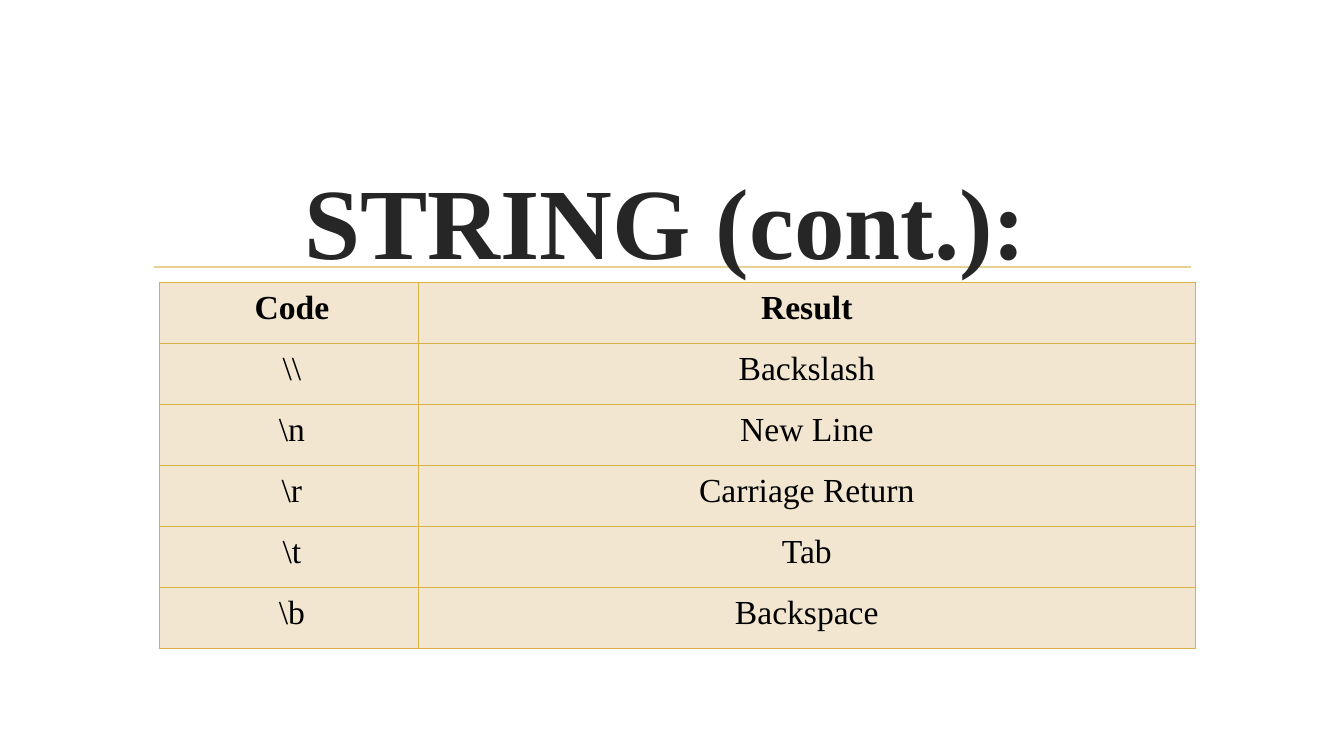
"""Build the slide that lists string escape codes in a table."""
from dataclasses import dataclass

from lxml.etree import SubElement
from pptx import Presentation
from pptx.dml.color import RGBColor
from pptx.enum.shapes import MSO_CONNECTOR
from pptx.enum.text import MSO_ANCHOR, PP_ALIGN
from pptx.oxml.ns import qn
from pptx.slide import Slide
from pptx.table import _Cell
from pptx.text.text import _Paragraph
from pptx.util import Pt

FONT = "Times New Roman"
BLACK = RGBColor(0x00, 0x00, 0x00)
CHARCOAL = RGBColor(0x26, 0x26, 0x26)
GOLD = RGBColor(0xD9, 0xB2, 0x47)
PALE_GOLD = RGBColor(0xE8, 0xD1, 0x91)
CREAM = RGBColor(0xF2, 0xE6, 0xD0)

COLUMN_WIDTHS = (185, 555)
LEFT_MARGINS = (9.4, 5)
ROW_HEIGHT = 43.6


@dataclass(frozen=True)
class Escape:
    code: str
    result: str
    bold: bool = False


ESCAPES = (
    Escape("Code", "Result", bold=True),
    Escape(r"\\", "Backslash"),
    Escape(r"\n", "New Line"),
    Escape(r"\r", "Carriage Return"),
    Escape(r"\t", "Tab"),
    Escape(r"\b", "Backspace"),
)


def write_centred(para: _Paragraph, text: str, size: float, color: RGBColor, bold: bool) -> None:
    para.text = text
    para.alignment = PP_ALIGN.CENTER
    for span in para.runs:
        span.font.name = FONT
        span.font.size = Pt(size)
        span.font.bold = bold
        span.font.color.rgb = color


def add_rule(page: Slide) -> None:
    rule = page.shapes.add_connector(
        MSO_CONNECTOR.STRAIGHT, Pt(110.2), Pt(190.8), Pt(850.4), Pt(190.8)
    )
    rule.line.color.rgb = PALE_GOLD
    rule.line.width = Pt(1.25)
    SubElement(rule.element.spPr, qn("a:effectLst"))


def add_title(page: Slide) -> None:
    box = page.shapes.add_textbox(Pt(65.5), Pt(100), Pt(820), Pt(102.2))
    frame = box.text_frame
    frame.word_wrap = True
    frame.vertical_anchor = MSO_ANCHOR.MIDDLE
    frame.margin_top = Pt(14)
    write_centred(frame.paragraphs[0], "STRING (cont.):", 72, CHARCOAL, True)


def add_borders(cell: _Cell) -> None:
    properties = cell._tc.get_or_add_tcPr()
    for position, side in enumerate(("a:lnL", "a:lnR", "a:lnT", "a:lnB")):
        border = properties.makeelement(qn(side), {"w": str(Pt(0.75))})
        fill = SubElement(border, qn("a:solidFill"))
        SubElement(fill, qn("a:srgbClr"), {"val": str(GOLD)})
        properties.insert(position, border)


def fill_cell(cell: _Cell, text: str, left_margin: float, bold: bool) -> None:
    cell.fill.solid()
    cell.fill.fore_color.rgb = CREAM
    cell.margin_left = Pt(left_margin)
    cell.margin_right = cell.margin_top = cell.margin_bottom = Pt(5)
    write_centred(cell.text_frame.paragraphs[0], text, 24, BLACK, bold)
    add_borders(cell)


def add_escape_table(page: Slide) -> None:
    table = page.shapes.add_table(
        len(ESCAPES), len(COLUMN_WIDTHS), Pt(113.8), Pt(201.6),
        Pt(sum(COLUMN_WIDTHS)), Pt(ROW_HEIGHT * len(ESCAPES)),
    ).table
    for column, width in zip(table.columns, COLUMN_WIDTHS):
        column.width = Pt(width)
    for row, escape in zip(table.rows, ESCAPES):
        row.height = Pt(ROW_HEIGHT)
        for cell, text, margin in zip(row.cells, (escape.code, escape.result), LEFT_MARGINS):
            fill_cell(cell, text, margin, escape.bold)


def main() -> None:
    deck = Presentation()
    deck.slide_width, deck.slide_height = Pt(960), Pt(540)
    page = deck.slides.add_slide(deck.slide_layouts[6])
    add_rule(page)
    add_title(page)
    add_escape_table(page)
    deck.save("out.pptx")


if __name__ == "__main__":
    main()
